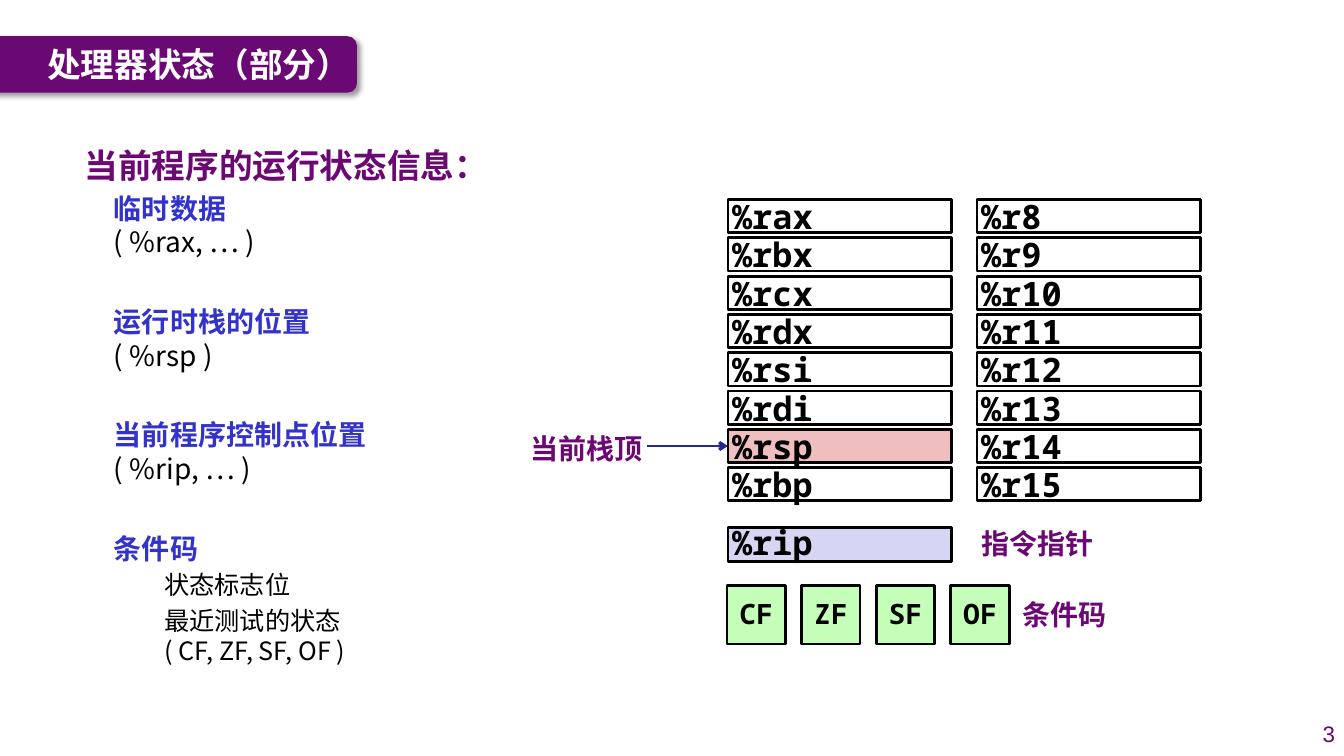
from pptx import Presentation, util as u
from pptx.dml.color import RGBColor
from pptx.enum import shapes, text
from pptx.oxml import parse_xml
from pptx.oxml.ns import nsdecls, qn
from lxml import etree

TITLE = "处理器状态（部分）"
HEADING = "当前程序的运行状态信息："
STATES = [
    ("临时数据", "( %rax, … )"),
    ("运行时栈的位置", "( %rsp )"),
    ("当前程序控制点位置", "( %rip, … )"),
    ("条件码", None),
]
FLAG_NOTES = [("状态标志位", None), ("最近测试的状态", "( CF, ZF, SF, OF )")]
REGISTERS = [
    ["%rax", "%rbx", "%rcx", "%rdx", "%rsi", "%rdi", "%rsp", "%rbp"],
    ["%r8", "%r9", "%r10", "%r11", "%r12", "%r13", "%r14", "%r15"],
]
FLAGS = ["CF", "ZF", "SF", "OF"]
STACK_TOP, POINTER, CONDITION = "当前栈顶", "指令指针", "条件码"
PAGE = "3"

THEME = {
    "banner": "6A0874", "purple": "6B0874", "blue": "3333CC", "arrow": "262699",
    "black": "000000", "white": "FFFFFF",
    "stack": "EFBFBF", "pointer": "D6D6F4", "flag": "C5FEB8",
    "sans": "Noto Sans CJK SC", "mono": "Noto Sans Mono",
    "serif": "Times New Roman", "number": "Arial",
    "large": 24, "medium": 20, "small": 18, "page": 16,
}
LEFT, TOP, COLUMN_STEP, ROW_STEP = 7.22, 1.98, 2.47, 0.38
CELL_WIDTH, CELL_HEIGHT = 2.22, 0.33
FLAG_LEFT, FLAG_TOP, FLAG_STEP, FLAG_SIDE = 7.21, 5.81, 0.74, 0.58


def color(name):
    return RGBColor.from_string(THEME[name])


def inches(*lengths):
    return [u.Inches(length) for length in lengths]


def assign(target, values):
    for name, value in values.items():
        setattr(target, name, value)


def write(paragraph, words, size, ink, face="sans", bold=True):
    run = paragraph.add_run()
    run.text = words
    assign(run.font, {"size": u.Pt(THEME[size]), "bold": bold, "name": THEME[face]})
    run.font.color.rgb = color(ink)
    east = etree.SubElement(run.font._element, qn("a:ea"))
    east.set("typeface", THEME["sans"])


def place(shape, box):
    assign(shape, dict(zip(("left", "top", "width", "height"), inches(*box))))


def frame_up(shape, margin=0.04, anchor=text.MSO_ANCHOR.MIDDLE):
    frame = shape.text_frame
    sides = ("margin_left", "margin_top", "margin_right", "margin_bottom")
    assign(frame, dict.fromkeys(sides, u.Inches(margin)))
    assign(frame, {"word_wrap": True, "auto_size": text.MSO_AUTO_SIZE.NONE,
                   "vertical_anchor": anchor})
    return frame.paragraphs[0]


def add_label(slide, words, box, face="sans"):
    label = slide.shapes.add_textbox(*inches(*box))
    write(frame_up(label, anchor=text.MSO_ANCHOR.TOP), words, "medium", "purple", face)


def add_cell(slide, words, box, fill=None, size="large", align=text.PP_ALIGN.LEFT, spacing=1.0):
    cell = slide.shapes.add_shape(shapes.MSO_SHAPE.RECTANGLE, *inches(*box))
    cell.shadow.inherit = False
    if fill:
        cell.fill.solid()
        cell.fill.fore_color.rgb = color(fill)
    else:
        cell.fill.background()
    cell.line.color.rgb = color("black")
    cell.line.width = u.Pt(2)
    paragraph = frame_up(cell)
    assign(paragraph, {"alignment": align, "line_spacing": spacing})
    write(paragraph, words, size, "black", "mono")
    return cell


def add_title(slide):
    banner = slide.shapes.add_shape(
        shapes.MSO_SHAPE.ROUNDED_RECTANGLE, *inches(-0.11, 0.36, 3.65, 0.56))
    banner.fill.solid()
    banner.fill.fore_color.rgb = color("banner")
    banner.line.fill.background()
    banner._element.spPr.append(parse_xml(
        f'<a:effectLst {nsdecls("a")}><a:outerShdw blurRad="{u.Pt(4)}" dist="{u.Pt(3)}" '
        'dir="2700000" algn="tl" rotWithShape="0"><a:srgbClr val="000000">'
        '<a:alpha val="40000"/></a:srgbClr></a:outerShdw></a:effectLst>'))
    slide.shapes._spTree.insert(2, banner._element)
    title = slide.shapes.title
    place(title, (0.37, 0.36, 3.35, 0.55))
    paragraph = frame_up(title, 0.1)
    assign(title.text_frame, {"margin_top": u.Inches(0.05), "margin_bottom": u.Inches(0.05)})
    paragraph.alignment = text.PP_ALIGN.LEFT
    write(paragraph, TITLE, "large", "white")


def add_states(slide):
    body = slide.placeholders[1]
    place(body, (0.74, 1.31, 4.36, 5.59))
    first = frame_up(body, 0.1, text.MSO_ANCHOR.TOP)
    body.text_frame.margin_top = u.Inches(0.05)

    def item(paragraph, level, indent, before, spacing):
        properties = paragraph._p.get_or_add_pPr()
        properties.set("marL", str(u.Inches(indent)))
        properties.set("indent", "0")
        etree.SubElement(properties, qn("a:buNone"))
        assign(paragraph, {"level": level, "space_before": u.Pt(before),
                           "line_spacing": spacing, "alignment": text.PP_ALIGN.LEFT})
        return paragraph

    write(item(first, 0, 0, 0, 1.2), HEADING, "large", "purple")
    rows = [(state, 1, 0.29, 33 if row else 4, "medium", "blue", True)
            for row, state in enumerate(STATES)]
    rows += [(note, 2, 0.79, 3.5, "small", "black", False) for note in FLAG_NOTES]
    for (name, detail), level, indent, before, size, ink, bold in rows:
        paragraph = item(body.text_frame.add_paragraph(), level, indent, before, 1.0)
        write(paragraph, name, size, ink, bold=bold)
        if detail:
            paragraph.add_line_break()
            write(paragraph, detail, size, "black", bold=False)


def add_registers(slide):
    cells = {}
    for column, names in enumerate(REGISTERS):
        for row, name in enumerate(names):
            box = (LEFT + column * COLUMN_STEP, TOP + row * ROW_STEP, CELL_WIDTH, CELL_HEIGHT)
            cells[name] = add_cell(slide, name, box, "stack" if name == "%rsp" else None)
    add_cell(slide, "%rip", (LEFT, 5.23, CELL_WIDTH, 0.34), "pointer", spacing=0.95)
    for order, flag in enumerate(FLAGS):
        box = (FLAG_LEFT + order * FLAG_STEP, FLAG_TOP, FLAG_SIDE, FLAG_SIDE)
        add_cell(slide, flag, box, "flag", "medium", text.PP_ALIGN.CENTER, 0.95)
    add_label(slide, STACK_TOP, (5.22, 4.24, 1.21, 0.42), "serif")
    add_label(slide, POINTER, (9.69, 5.18, 1.21, 0.37))
    add_label(slide, CONDITION, (10.1, 5.89, 1.97, 0.49))

    stack = cells["%rsp"]
    middle = stack.top + stack.height // 2
    arrow = slide.shapes.add_connector(
        shapes.MSO_CONNECTOR.STRAIGHT, u.Inches(6.42), middle, stack.left, middle)
    arrow.end_connect(stack, 1)
    arrow.line.color.rgb = color("arrow")
    arrow.line.width = u.Pt(2)
    etree.SubElement(arrow.line._get_or_add_ln(), qn("a:tailEnd")).set("type", "arrow")
    etree.SubElement(arrow._element.spPr, qn("a:effectLst"))


def add_page(slide):
    page = slide.shapes.add_textbox(*inches(12.79, 7.1, 0.55, 0.35))
    paragraph = frame_up(page, 0.1)
    assign(page.text_frame, {"margin_top": u.Inches(0.05), "margin_bottom": u.Inches(0.05)})
    paragraph.alignment = text.PP_ALIGN.RIGHT
    write(paragraph, PAGE, "page", "banner", "number", False)


def main():
    deck = Presentation()
    deck.slide_width, deck.slide_height = inches(13.33, 7.5)
    slide = deck.slides.add_slide(deck.slide_layouts[1])
    add_title(slide)
    add_states(slide)
    add_registers(slide)
    add_page(slide)
    deck.save("out.pptx")


if __name__ == "__main__":
    main()
